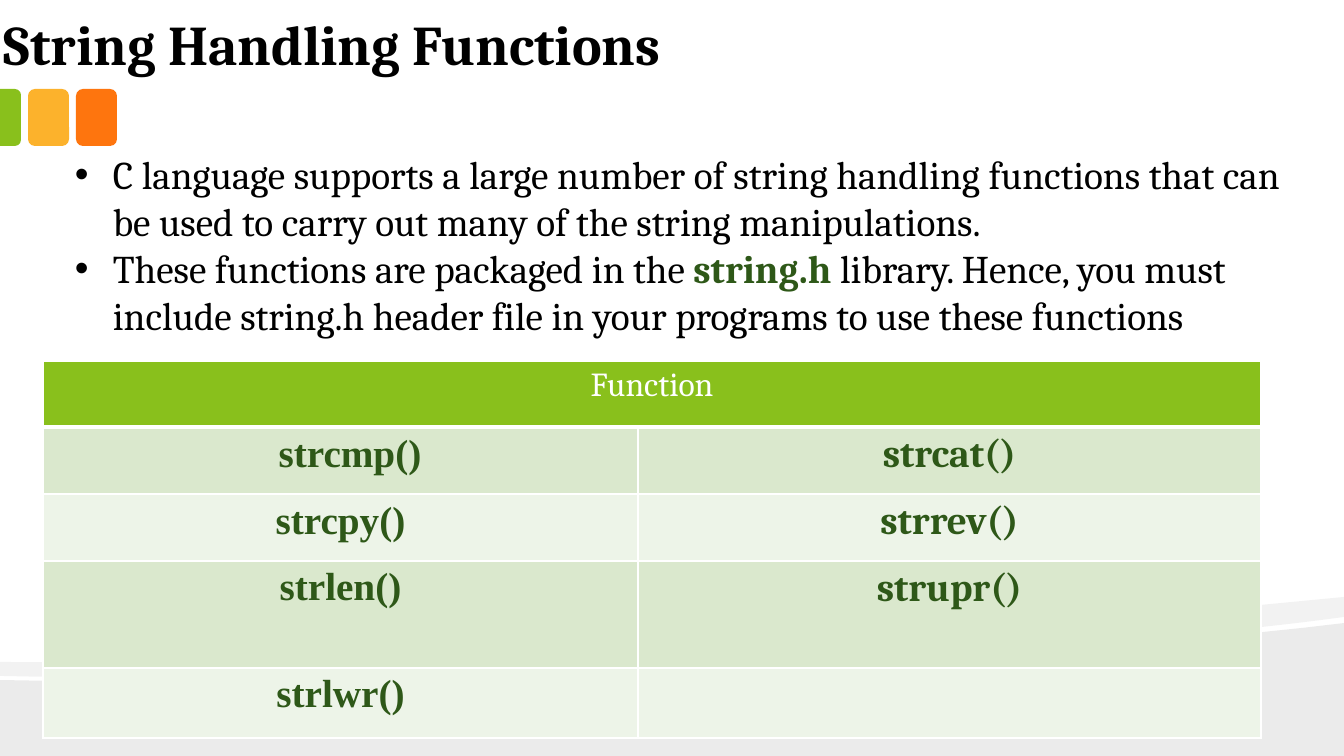
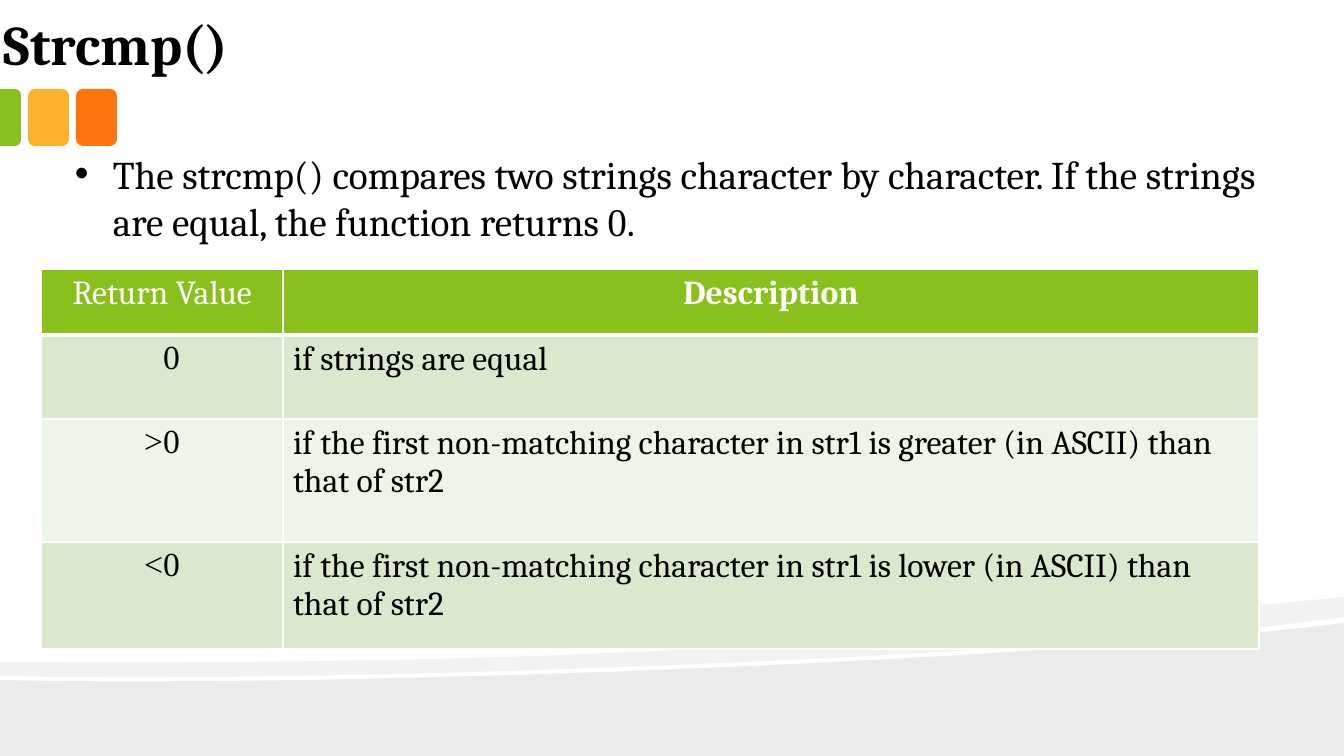
"""Build two slides on the string handling functions of C."""
from lxml import etree
from pptx import Presentation
from pptx.dml.color import RGBColor
from pptx.enum.shapes import MSO_SHAPE
from pptx.enum.text import MSO_ANCHOR, MSO_AUTO_SIZE, PP_ALIGN
from pptx.oxml.ns import qn
from pptx.util import Emu, Pt

SCALE = 914400 / 100.8
WIDTH, HEIGHT = 1344, 756

BLACK = RGBColor(0x00, 0x00, 0x00)
WHITE = RGBColor(0xFF, 0xFF, 0xFF)
LIME = RGBColor(0x89, 0xC0, 0x1C)
AMBER = RGBColor(0xFC, 0xB2, 0x2C)
ORANGE = RGBColor(0xFE, 0x75, 0x0E)
FOREST = RGBColor(0x2E, 0x58, 0x18)
BANDS = (RGBColor(0xDA, 0xE8, 0xCD), RGBColor(0xED, 0xF4, 0xE8))

ROUND = MSO_SHAPE.ROUNDED_RECTANGLE
ROUND_TOP = MSO_SHAPE.ROUND_2_SAME_RECTANGLE
BOTTOM = MSO_ANCHOR.BOTTOM
GROW = MSO_AUTO_SIZE.SHAPE_TO_FIT_TEXT
LEFT, CENTER = PP_ALIGN.LEFT, PP_ALIGN.CENTER

SERIF, ROMAN = "Cambria", "Times New Roman"
TITLE = dict(name=SERIF, size=Pt(40), bold=True, color=BLACK)
BODY = dict(name=SERIF, size=Pt(28), bold=False, color=BLACK)
BODY_ROMAN = {**BODY, "name": ROMAN}
KEYWORD = {**BODY, "bold": True, "color": FOREST}
KEYWORD_ROMAN = {**KEYWORD, "name": ROMAN}
HEADER = dict(name=SERIF, size=Pt(24), bold=False, color=WHITE)
HEADER_BOLD = {**HEADER, "bold": True}
ENTRY = {**HEADER, "color": BLACK}
ENTRY_ROMAN = {**ENTRY, "name": ROMAN}

CELL_INSET = 10
FIRST_ENTRY_SHIFT = 19
BULLET_INDENT = 38

FRONT_WAVE = [
    [(1344, 623)], [(1344, 756)], [(0, 756)], [(0, 680)],
    [(355, 688), (1050, 660), (1344, 623)],
]
BACK_WAVE = [
    [(1344, 597)], [(1344, 617)],
    [(1265, 628), (1158, 638), (1037, 646)],
    [(704, 668), (260, 682), (0, 676)],
    [(0, 662)],
    [(657, 667), (979, 632), (1344, 597)],
]


def px(value):
    """Turn pixels into EMU."""
    return Emu(round(value * SCALE))


def box(*values):
    """Turn a pixel frame into EMU."""
    return [px(v) for v in values]


def bezier(p0, p1, p2, p3, steps=24):
    """Sample a cubic curve, leaving out its start."""
    points = []
    for i in range(1, steps + 1):
        t = i / steps
        u = 1 - t
        weights = (u ** 3, 3 * u * u * t, 3 * u * t * t, t ** 3)
        points.append(tuple(
            sum(w * p[axis] for w, p in zip(weights, (p0, p1, p2, p3)))
            for axis in (0, 1)))
    return points


def paint(sp, color):
    """Give a shape a plain fill without line or shadow."""
    sp.shadow.inherit = False
    sp.fill.solid()
    sp.fill.fore_color.rgb = color
    sp.line.fill.background()


def add_wave(slide, segments, alpha):
    """Draw a translucent outline made of lines and curves."""
    points = list(segments[0])
    for segment in segments[1:]:
        points += bezier(points[-1], *segment) if len(segment) == 3 else segment
    points = [box(*point) for point in points]
    builder = slide.shapes.build_freeform(*points[0])
    builder.add_line_segments(points[1:], close=True)
    sp = builder.convert_to_shape()
    paint(sp, BLACK)
    clr = sp._element.spPr.find(qn("a:solidFill")).find(qn("a:srgbClr"))
    etree.SubElement(clr, qn("a:alpha"), val=str(alpha * 1000))


def add_tab(slide, kind, frame, color):
    """Add one coloured tab."""
    sp = slide.shapes.add_shape(kind, *box(*frame))
    paint(sp, color)
    return sp


def add_run(p, text, style):
    """Add a formatted run."""
    r = p.add_run()
    r.text = text
    for key, value in style.items():
        if key == "color":
            r.font.color.rgb = value
        else:
            setattr(r.font, key, value)


def add_title(slide, text):
    """Add the slide title."""
    tf = slide.shapes.add_textbox(*box(-9, 0, 1045, 84)).text_frame
    margins = dict(margin_left=13, margin_top=7, margin_right=13, margin_bottom=7)
    for key, value in margins.items():
        setattr(tf, key, px(value))
    tf.word_wrap = True
    tf.vertical_anchor = BOTTOM
    add_run(tf.paragraphs[0], text, TITLE)


def add_bullets(slide, height, items):
    """Add bulleted paragraphs, each a list of runs."""
    tf = slide.shapes.add_textbox(*box(65, 145, 1237, height)).text_frame
    tf.word_wrap = True
    tf.auto_size = GROW
    for i, runs in enumerate(items):
        p = tf.add_paragraph() if i else tf.paragraphs[0]
        pPr = p._p.get_or_add_pPr()
        pPr.set("marL", str(px(BULLET_INDENT)))
        pPr.set("indent", str(-px(BULLET_INDENT)))
        etree.SubElement(pPr, qn("a:buFont"), typeface="Arial")
        etree.SubElement(pPr, qn("a:buChar"), char="•")
        for text, style in runs:
            add_run(p, text, style)


def set_borders(cell, top, bottom):
    """Draw white cell borders with widths in points."""
    tcPr = cell._tc.get_or_add_tcPr()
    for side, width in dict(L=1, R=1, T=top, B=bottom).items():
        ln = etree.SubElement(tcPr, qn("a:ln" + side), w=str(Pt(width)))
        fill = etree.SubElement(ln, qn("a:solidFill"))
        etree.SubElement(fill, qn("a:srgbClr"), val=str(WHITE))


def add_grid(slide, origin, widths, heights, header, rows, columns):
    """Add a banded table; columns holds the alignment and style of each."""
    frame = box(*origin, sum(widths), sum(heights))
    table = slide.shapes.add_table(len(heights), len(widths), *frame).table
    for column, width in zip(table.columns, widths):
        column.width = px(width)
    for row, height in zip(table.rows, heights):
        row.height = px(height)
    if len(header) < len(widths):
        table.cell(0, 0).merge(table.cell(0, len(widths) - 1))
    for i in range(len(heights)):
        for j in range(len(widths)):
            cell = table.cell(i, j)
            set_borders(cell, 3 if i == 1 else 1, 1 if i else 3)
            cell.fill.solid()
            cell.fill.fore_color.rgb = BANDS[(i - 1) % 2] if i else LIME
    for j, (text, style) in enumerate(header):
        fill_cell(table.cell(0, j), text, CENTER, style)
    for i, texts in enumerate(rows, 1):
        for j, text in enumerate(texts):
            fill_cell(table.cell(i, j), text, *columns[j])
    table.cell(1, 0).margin_left = px(CELL_INSET + FIRST_ENTRY_SHIFT)


def fill_cell(cell, text, align, style):
    """Write aligned text into a cell."""
    p = cell.text_frame.paragraphs[0]
    p.alignment = align
    add_run(p, text, style)


def add_slide(prs, title):
    """Add a slide with the shared waves, tabs and title."""
    slide = prs.slides.add_slide(prs.slide_layouts[6])
    add_wave(slide, FRONT_WAVE, 8)
    add_wave(slide, BACK_WAVE, 5)
    add_tab(slide, ROUND, (76, 89, 41, 57), ORANGE)
    add_tab(slide, ROUND, (28, 89, 41, 57), AMBER)
    sp = add_tab(slide, ROUND_TOP, (-18, 107, 57, 21), LIME)
    sp.adjustments[0] = 0.29
    sp.rotation = 90
    add_title(slide, title)
    return slide


def build_functions(prs):
    """Build the overview of functions."""
    slide = add_slide(prs, "String Handling Functions")
    add_bullets(slide, 201, [
        [("C language supports a large number of string handling functions "
          "that can be used to carry out many of the string manipulations.", BODY)],
        [("These functions are packaged in the ", BODY),
         ("string.h", KEYWORD),
         (" library. Hence, you must include string.h header file in your "
          "programs to use these functions", BODY)],
    ])
    add_grid(
        slide, (43, 361), (595, 623), (66, 67, 67, 107, 70),
        [("Function", HEADER)],
        [("strcmp()", "strcat()"), ("strcpy()", "strrev()"),
         ("strlen()", "strupr()"), ("strlwr()",)],
        [(CENTER, KEYWORD_ROMAN), (CENTER, KEYWORD)])


def build_strcmp(prs):
    """Build the slide on comparing strings."""
    slide = add_slide(prs, "Strcmp()")
    add_bullets(slide, 105, [
        [("The strcmp() compares two strings character by character. If the "
          "strings are equal, the function returns ", BODY),
         ("0", BODY_ROMAN), (".", BODY)],
    ])
    mismatch = "if the first non-matching character in str1\u00a0is {} (in ASCII) than that of{}str2"
    add_grid(
        slide, (41, 269), (242, 976), (66, 84, 123, 107),
        [("Return Value", HEADER), ("Description", HEADER_BOLD)],
        [("0", "if strings are equal"),
         (">0", mismatch.format("greater", "\u00a0")),
         ("<0", mismatch.format("lower", " "))],
        [(CENTER, ENTRY_ROMAN), (LEFT, ENTRY)])


def main():
    """Build and save the presentation."""
    prs = Presentation()
    prs.slide_width, prs.slide_height = box(WIDTH, HEIGHT)
    build_functions(prs)
    build_strcmp(prs)
    prs.save("out.pptx")


main()
